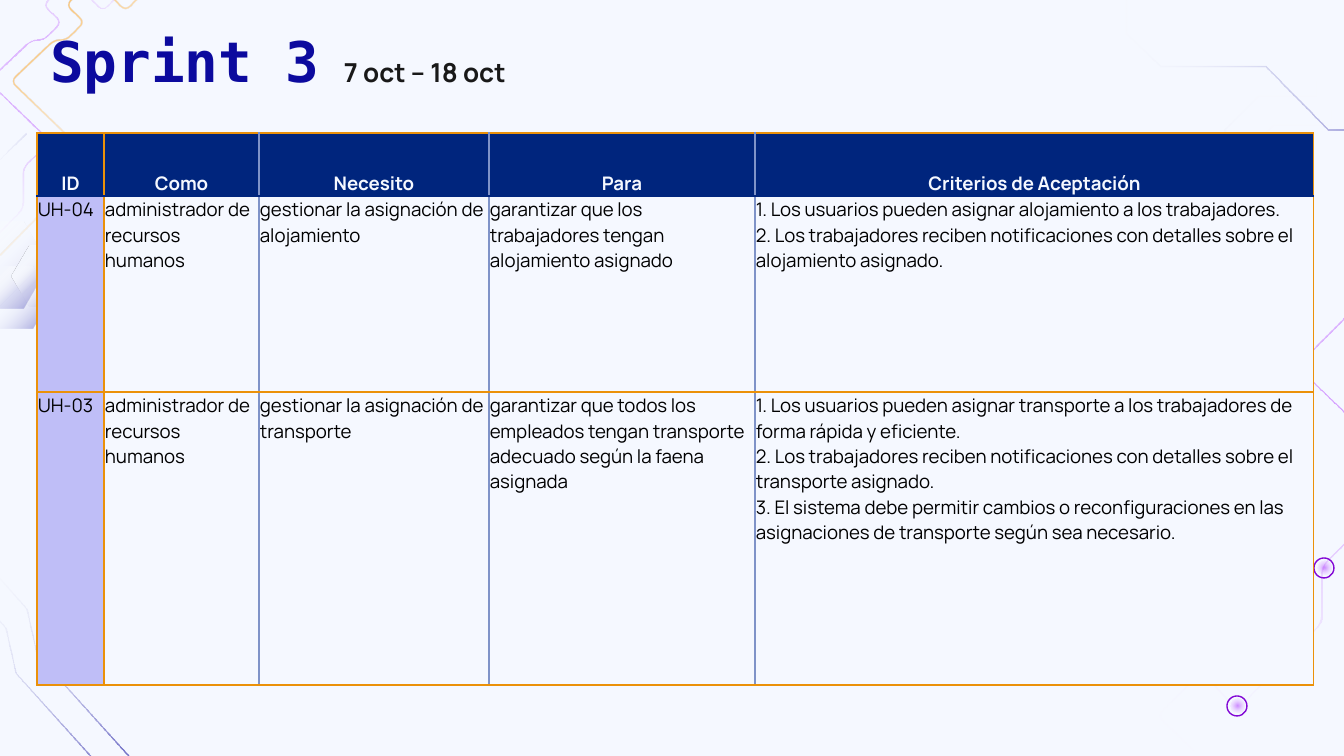
import copy
import dataclasses
import math

import pptx
import pptx.dml.color
import pptx.enum.shapes
import pptx.enum.text
import pptx.oxml
import pptx.oxml.ns
import pptx.util

PX = 914400 / 134.4


def px(value):
    return pptx.util.Emu(round(value * PX))


def rgb(value):
    return pptx.dml.color.RGBColor.from_string(value)


@dataclasses.dataclass(frozen=True)
class Theme:
    background: str = "F5F8FF"
    blue: str = "0C0A9E"
    header: str = "00257D"
    lilac: str = "BFBEF7"
    orange: str = "EB9109"
    amber: str = "FF9900"
    divider: str = "7F93C8"
    purple: str = "9900FF"
    ring: str = "8208D5"
    white: str = "FFFFFF"
    ink: str = "191919"
    black: str = "000000"
    title_font: str = "DejaVu Sans Mono"
    body_font: str = "Manrope"
    title_size: int = 30
    date_size: int = 14
    cell_size: int = 10


THEME = Theme()
BLUE_FADE = [(0, THEME.blue, 100), (100, THEME.white, 0)]
SOFT_BLUE_FADE = [(0, THEME.blue, 36), (100, THEME.white, 0)]
ORANGE_FADE = [(0, THEME.orange, 100), (40, THEME.amber, 40), (100, THEME.white, 0)]
PURPLE_FADE = [(0, THEME.purple, 45), (100, THEME.white, 0)]
HEXAGON_FADE = [(0, THEME.background, 100), (22, THEME.background, 100),
                (45, THEME.white, 0), (100, THEME.blue, 49)]


def write(frame, text, font=THEME.body_font, size=THEME.cell_size, color=THEME.black,
          bold=False, align=None, spacing=None):
    paragraph = frame.paragraphs[0]
    paragraph.text = text
    paragraph.alignment = align
    paragraph.line_spacing = spacing
    for run in paragraph.runs:
        run.font.name = font
        run.font.size = pptx.util.Pt(size)
        run.font.bold = bold
        run.font.color.rgb = rgb(color)
    for line_break in paragraph._p.findall(pptx.oxml.ns.qn("a:br")):
        line_break.append(copy.deepcopy(paragraph.runs[0]._r.rPr))


def rounded(points, radius=7, steps=4):
    result = [points[0]]
    for before, corner, after in zip(points, points[1:], points[2:]):
        ends = []
        for other in (before, after):
            share = min(radius / math.dist(corner, other), 0.5)
            ends.append([c + (o - c) * share for c, o in zip(corner, other)])
        for step in range(steps + 1):
            t = step / steps
            result.append(tuple((1 - t) ** 2 * a + 2 * t * (1 - t) * c + t * t * b
                                for a, c, b in zip(ends[0], corner, ends[1])))
    return result + [points[-1]]


def offset(points, distance):
    result = []
    for index, (x, y) in enumerate(points):
        (x0, y0), (x1, y1) = points[max(index - 1, 0)], points[min(index + 1, len(points) - 1)]
        length = math.hypot(x1 - x0, y1 - y0)
        result.append((x - (y1 - y0) / length * distance, y + (x1 - x0) / length * distance))
    return result


class SlideBuilder:
    def __init__(self, presentation, theme):
        self.theme = theme
        self.slide = presentation.slides.add_slide(presentation.slide_layouts[5])
        self.slide.background.fill.solid()
        self.slide.background.fill.fore_color.rgb = rgb(theme.background)

    def gradient(self, shape, stops, angle=None):
        marks = "".join(
            f'<a:gs pos="{position * 1000}"><a:srgbClr val="{color}">'
            f'<a:alpha val="{alpha * 1000}"/></a:srgbClr></a:gs>'
            for position, color, alpha in stops)
        direction = (f'<a:lin ang="{angle * 60000}" scaled="0"/>' if angle is not None else
                     '<a:path path="circle"><a:fillToRect l="50000" t="50000" r="50000" b="50000"/></a:path>')
        shape.fill.background()
        empty = shape._element.spPr.find(pptx.oxml.ns.qn("a:noFill"))
        empty.getparent().replace(empty, pptx.oxml.parse_xml(
            f'<a:gradFill {pptx.oxml.ns.nsdecls("a")} rotWithShape="1">'
            f'<a:gsLst>{marks}</a:gsLst>{direction}</a:gradFill>'))

    def polygon(self, points, stops, angle=None):
        corners = [(px(x), px(y)) for x, y in points]
        builder = self.slide.shapes.build_freeform(*corners[0], scale=1.0)
        builder.add_line_segments(corners[1:], close=True)
        shape = builder.convert_to_shape()
        shape.shadow.inherit = False
        shape.line.fill.background()
        self.gradient(shape, stops, angle)

    def ribbon(self, points, stops, angle=None):
        self.polygon(offset(points, 0.8) + offset(points, -0.8)[::-1], stops, angle)

    def hexagon(self, left, top, width, height):
        shares = [(0, 0.5), (0.25, 0), (0.75, 0), (1, 0.5), (0.75, 1), (0.25, 1)]
        self.polygon([(left + width * x, top + height * y) for x, y in shares], HEXAGON_FADE, 45)

    def node(self, left, top, size=20, inset=3):
        for margin in (0, inset):
            shape = self.slide.shapes.add_shape(
                pptx.enum.shapes.MSO_SHAPE.OVAL, px(left + margin), px(top + margin),
                px(size - 2 * margin), px(size - 2 * margin))
            shape.shadow.inherit = False
            if margin:
                shape.line.fill.background()
                self.gradient(shape, PURPLE_FADE)
            else:
                shape.fill.background()
                shape.line.color.rgb = rgb(self.theme.ring)
                shape.line.width = pptx.util.Pt(0.75)

    def place(self, shape, text, left, top, width, height, **style):
        shape.left, shape.top, shape.width, shape.height = map(px, (left, top, width, height))
        frame = shape.text_frame
        frame.word_wrap = True
        frame.auto_size = pptx.enum.text.MSO_AUTO_SIZE.NONE
        frame.vertical_anchor = pptx.enum.text.MSO_ANCHOR.TOP
        frame.margin_left = frame.margin_right = frame.margin_top = frame.margin_bottom = px(13)
        write(frame, text, bold=True, **style)

    def title(self, text, *box):
        shape = self.slide.shapes.title
        shape._element.getparent().append(shape._element)
        self.place(shape, text, *box, font=self.theme.title_font, size=self.theme.title_size,
                   color=self.theme.blue, align=pptx.enum.text.PP_ALIGN.LEFT)

    def label(self, text, *box):
        self.place(self.slide.shapes.add_textbox(0, 0, 0, 0), text, *box,
                   size=self.theme.date_size, color=self.theme.ink, spacing=1.15)

    def borders(self, cell, colors):
        properties = cell._tc.get_or_add_tcPr()
        for index, (side, color) in enumerate(zip("LRTB", colors)):
            properties.insert(index, pptx.oxml.parse_xml(
                f'<a:ln{side} {pptx.oxml.ns.nsdecls("a")} w="9525"><a:solidFill>'
                f'<a:srgbClr val="{color}"/></a:solidFill></a:ln{side}>'))

    def table(self, rows, left, top, widths, heights):
        theme = self.theme
        table = self.slide.shapes.add_table(
            len(rows), len(widths), px(left), px(top), px(sum(widths)), px(sum(heights))).table
        for column, width in zip(table.columns, widths):
            column.width = px(width)
        for row, height in zip(table.rows, heights):
            row.height = px(height)
        verticals = [theme.orange] * 2 + [theme.divider] * (len(widths) - 2) + [theme.orange]
        horizontals = [theme.orange, theme.header] + [theme.orange] * (len(rows) - 1)
        for r, texts in enumerate(rows):
            for c, text in enumerate(texts):
                cell = table.cell(r, c)
                header = r == 0
                side = px(0 if header else 1)
                cell.margin_left = cell.margin_right = cell.margin_top = side
                cell.margin_bottom = 0
                cell.vertical_anchor = (pptx.enum.text.MSO_ANCHOR.BOTTOM if header
                                        else pptx.enum.text.MSO_ANCHOR.TOP)
                cell.fill.solid()
                cell.fill.fore_color.rgb = rgb(
                    theme.header if header else theme.background if c else theme.lilac)
                self.borders(cell, verticals[c:c + 2] + horizontals[r:r + 2])
                write(cell.text_frame, text, bold=header,
                      color=theme.background if header else theme.black,
                      align=pptx.enum.text.PP_ALIGN.CENTER if header else None)


ROWS = [
    ["ID", "Como", "Necesito", "Para", "Criterios de Aceptación"],
    ["UH-04", "administrador de recursos humanos", "gestionar la asignación de alojamiento",
     "garantizar que los trabajadores tengan alojamiento asignado",
     "1. Los usuarios pueden asignar alojamiento a los trabajadores.\v"
     "2. Los trabajadores reciben notificaciones con detalles sobre el alojamiento asignado."],
    ["UH-03", "administrador de recursos humanos", "gestionar la asignación de transporte",
     "garantizar que todos los empleados tengan transporte adecuado según la faena asignada",
     "1. Los usuarios pueden asignar transporte a los trabajadores de forma rápida y eficiente.\v"
     "2. Los trabajadores reciben notificaciones con detalles sobre el transporte asignado.\v"
     "3. El sistema debe permitir cambios o reconfiguraciones en las asignaciones de transporte "
     "según sea necesario."],
]
CIRCUIT = [(1124, 524), (1178, 470), (1178, 327), (1240, 265), (1240, 159), (1273, 126), (1331, 126), (1331, 109)]
TOP_TRACK = [(1109, -25), (1127, -25), (1127, 33), (1161, 66), (1266, 66), (1328, 129), (1470, 129), (1525, 183)]
RIGHT_TRACK = [(1623, 41), (1537, 125), (1587, 172), (1438, 320), (1391, 271), (1297, 366), (1412, 477),
               (1322, 566), (1322, 622), (1237, 709), (1202, 671), (1158, 715), (1194, 750)]
CORNER_TRACK = [(77, -84), (148, -13), (125, 11), (93, -22), (66, 5), (84, 22), (66, 40), (54, 40), (11, 81),
                (73, 141), (46, 167), (46, 208), (0, 255)]
LOWER_TRACK = [(159, 840), (147, 776), (37, 654), (27, 609), (-21, 555)]
LEFT_TRACK = [(26, 133), (-14, 172), (-14, 95), (-44, 95), (-44, 26)]


def main():
    presentation = pptx.Presentation()
    presentation.slide_width, presentation.slide_height = px(1344), px(756)
    builder = SlideBuilder(presentation, THEME)
    for dx, dy in ((0, 0), (-15, -29)):
        builder.ribbon([(x + dx, y + dy) for x, y in CIRCUIT], BLUE_FADE, 270)
    builder.ribbon(TOP_TRACK, BLUE_FADE, 180)
    builder.ribbon(rounded(RIGHT_TRACK), PURPLE_FADE)
    for left, top in ((1227, 696), (1314, 558)):
        builder.node(left, top)
    for dx, dy in ((0, 0), (-21, 19)):
        builder.ribbon([(x + dx, y + dy) for x, y in LOWER_TRACK], BLUE_FADE, 225)
    for box in ((-51, 222, 99, 86), (-20, 267, 71, 61), (12, 246, 71, 61)):
        builder.hexagon(*box)
    builder.ribbon(rounded(CORNER_TRACK), ORANGE_FADE, 45)
    builder.ribbon(rounded([(x - 23, y) for x, y in CORNER_TRACK]), PURPLE_FADE)
    builder.ribbon(LEFT_TRACK, SOFT_BLUE_FADE, 135)
    builder.title("Sprint 3", 37, 13, 1133, 85)
    builder.table(ROWS, 37, 133, [67, 155, 230, 266, 559], [63, 196, 293])
    builder.label("7 oct – 18 oct", 331, 39, 367, 59)
    presentation.save("out.pptx")


if __name__ == "__main__":
    main()
